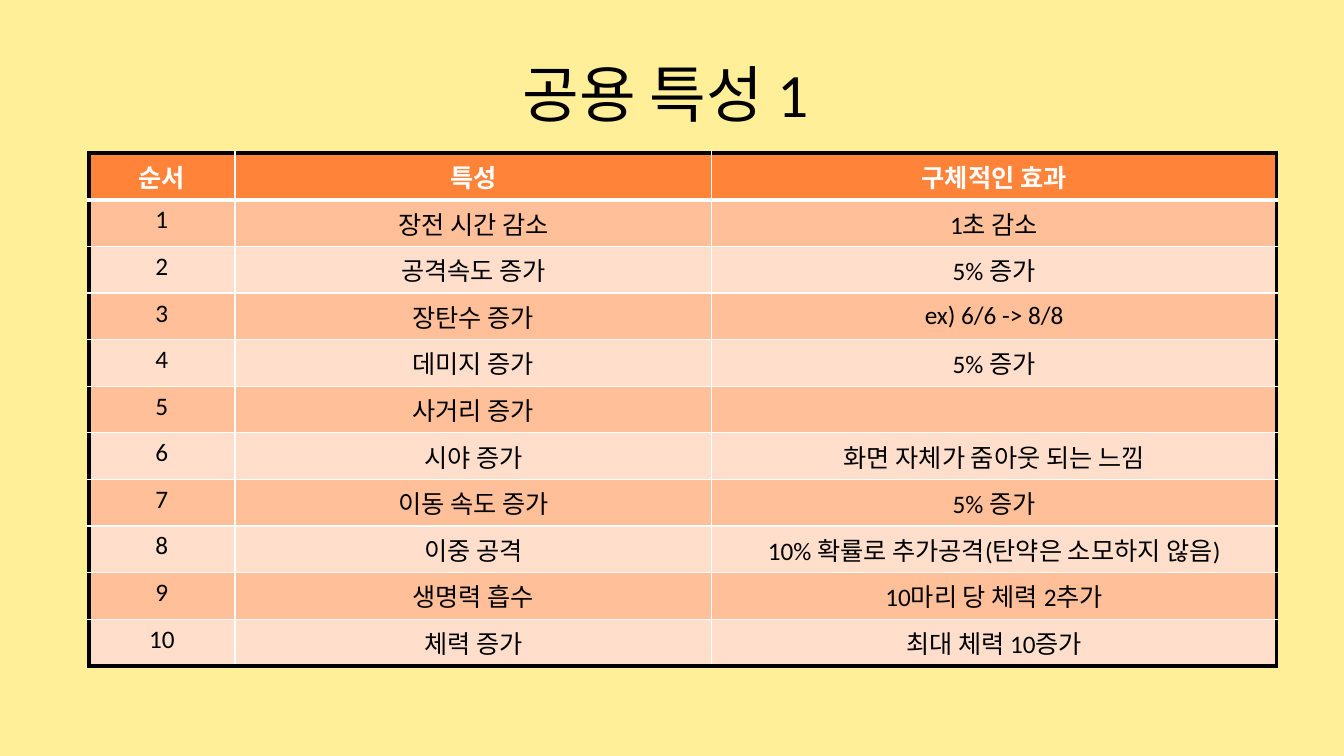
"""Build the slide listing shared traits and their effects in a bordered table."""
from lxml import etree
from pptx import Presentation
from pptx.dml.color import RGBColor
from pptx.enum.text import MSO_ANCHOR, PP_ALIGN
from pptx.oxml.ns import qn
from pptx.util import Pt

TITLE = "공용 특성 1 "
HEADER = ("순서", "특성", "구체적인 효과")
TRAITS = [
    ("장전 시간 감소", "1초 감소"),
    ("공격속도 증가", "5% 증가"),
    ("장탄수 증가", "ex) 6/6 -> 8/8"),
    ("데미지 증가", "5% 증가"),
    ("사거리 증가", ""),
    ("시야 증가", "화면 자체가 줌아웃 되는 느낌"),
    ("이동 속도 증가", "5% 증가"),
    ("이중 공격", "10% 확률로 추가공격(탄약은 소모하지 않음)"),
    ("생명력 흡수", "10마리 당 체력 2추가"),
    ("체력 증가", "최대 체력 10증가"),
]
COLORS = {
    "page": "FFEF99", "header": "FF843A", "odd": "FFBF99", "even": "FFDFCC",
    "black": "000000", "white": "FFFFFF",
}
FONT = "Calibri"
PX = 9144
PAGE_SIZE = (1333, 750)
TITLE_BOX = (67, 30, 1200, 125)
TABLE_LEFT, TABLE_TOP = 88, 152
COLUMN_WIDTHS = (145, 473, 560)
HEADER_HEIGHT, ROW_HEIGHT = 39, 37
THIN, THICK = 1, 3
CENTER = PP_ALIGN.CENTER
TOP, MIDDLE = MSO_ANCHOR.TOP, MSO_ANCHOR.MIDDLE


def color(name):
    return RGBColor.from_string(COLORS[name])


def style_paragraph(para, size, color_name, bold=False):
    para.alignment = CENTER
    para.font.name = FONT
    para.font.size = Pt(size)
    para.font.bold = bold
    para.font.color.rgb = color(color_name)


def add_border(cell, side, color_name, width):
    properties = cell._tc.get_or_add_tcPr()
    line = etree.SubElement(properties, qn(f"a:ln{side}"), w=str(Pt(width)))
    fill = etree.SubElement(line, qn("a:solidFill"))
    etree.SubElement(fill, qn("a:srgbClr"), val=COLORS[color_name])


def add_borders(cell, row, column, last_row, last_column):
    outer = {"L": column == 0, "R": column == last_column,
             "T": row == 0, "B": row == last_row}
    under_header = {"T": row == 1, "B": row == 0}
    for side, is_outer in outer.items():
        thick = is_outer or under_header.get(side, False)
        add_border(cell, side, "black" if is_outer else "white",
                   THICK if thick else THIN)


def add_trait_table(page):
    rows = [HEADER] + [(str(number), *trait)
                       for number, trait in enumerate(TRAITS, 1)]
    heights = [HEADER_HEIGHT] + [ROW_HEIGHT] * len(TRAITS)
    frame = page.shapes.add_table(
        len(rows), len(HEADER), TABLE_LEFT * PX, TABLE_TOP * PX,
        sum(COLUMN_WIDTHS) * PX, sum(heights) * PX)
    table = frame.table
    for column, width in zip(table.columns, COLUMN_WIDTHS):
        column.width = width * PX
    for row, (texts, height) in enumerate(zip(rows, heights)):
        table.rows[row].height = height * PX
        is_header = row == 0
        fill_name = "header" if is_header else "odd" if row % 2 else "even"
        for column, text in enumerate(texts):
            cell = table.cell(row, column)
            cell.text = text
            cell.vertical_anchor = TOP if is_header or column == 0 else MIDDLE
            add_borders(cell, row, column, len(rows) - 1, len(HEADER) - 1)
            cell.fill.solid()
            cell.fill.fore_color.rgb = color(fill_name)
            style_paragraph(cell.text_frame.paragraphs[0], 18,
                            "white" if is_header else "black", is_header)


def main():
    deck = Presentation()
    deck.slide_width, deck.slide_height = (side * PX for side in PAGE_SIZE)
    page = deck.slides.add_slide(deck.slide_layouts.get_by_name("Title Only"))
    page.background.fill.solid()
    page.background.fill.fore_color.rgb = color("page")

    title = page.shapes.title
    title.left, title.top, title.width, title.height = (
        length * PX for length in TITLE_BOX)
    title.text_frame.text = TITLE
    title.text_frame.vertical_anchor = MIDDLE
    style_paragraph(title.text_frame.paragraphs[0], 44, "black")

    add_trait_table(page)
    deck.save("out.pptx")


if __name__ == "__main__":
    main()
